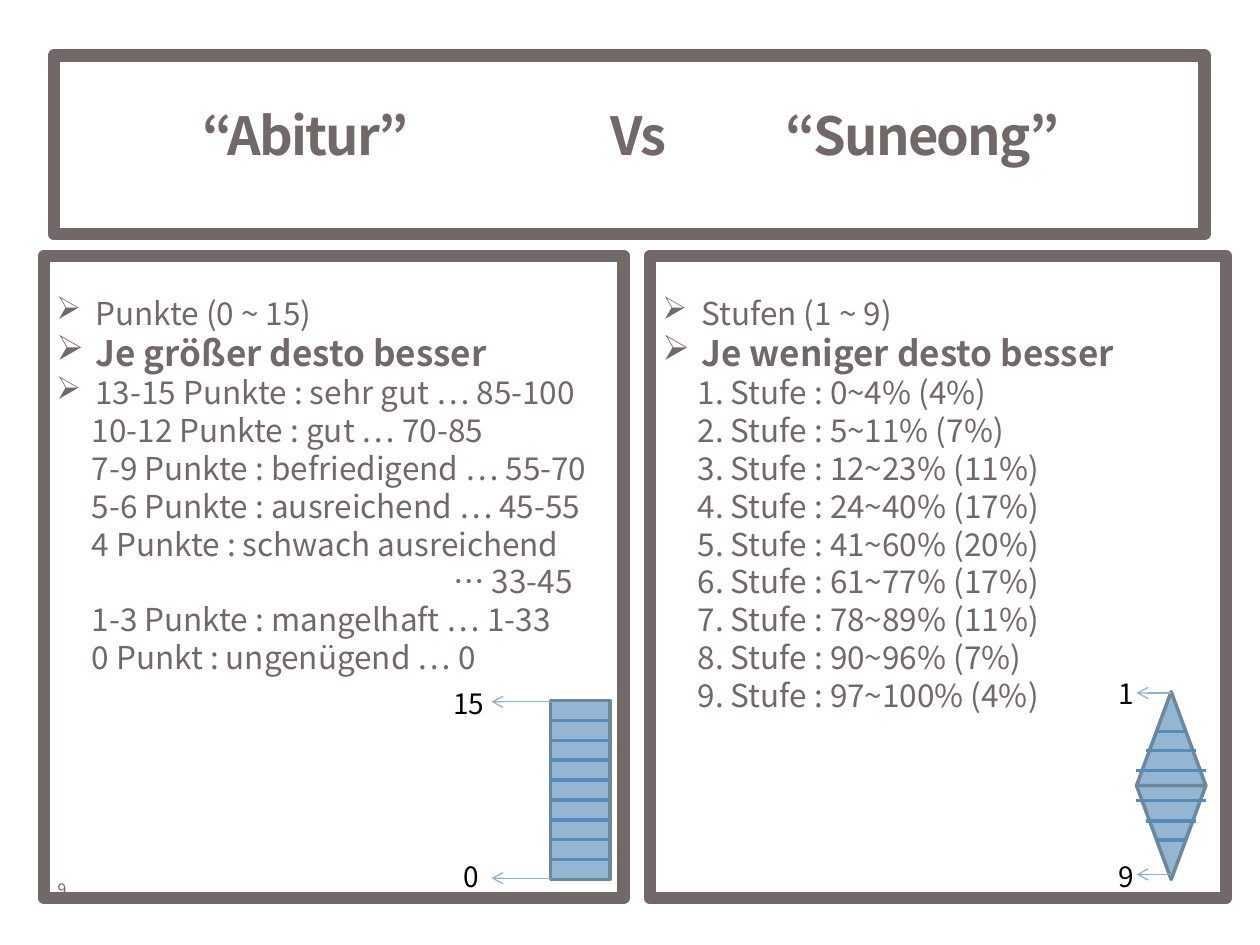
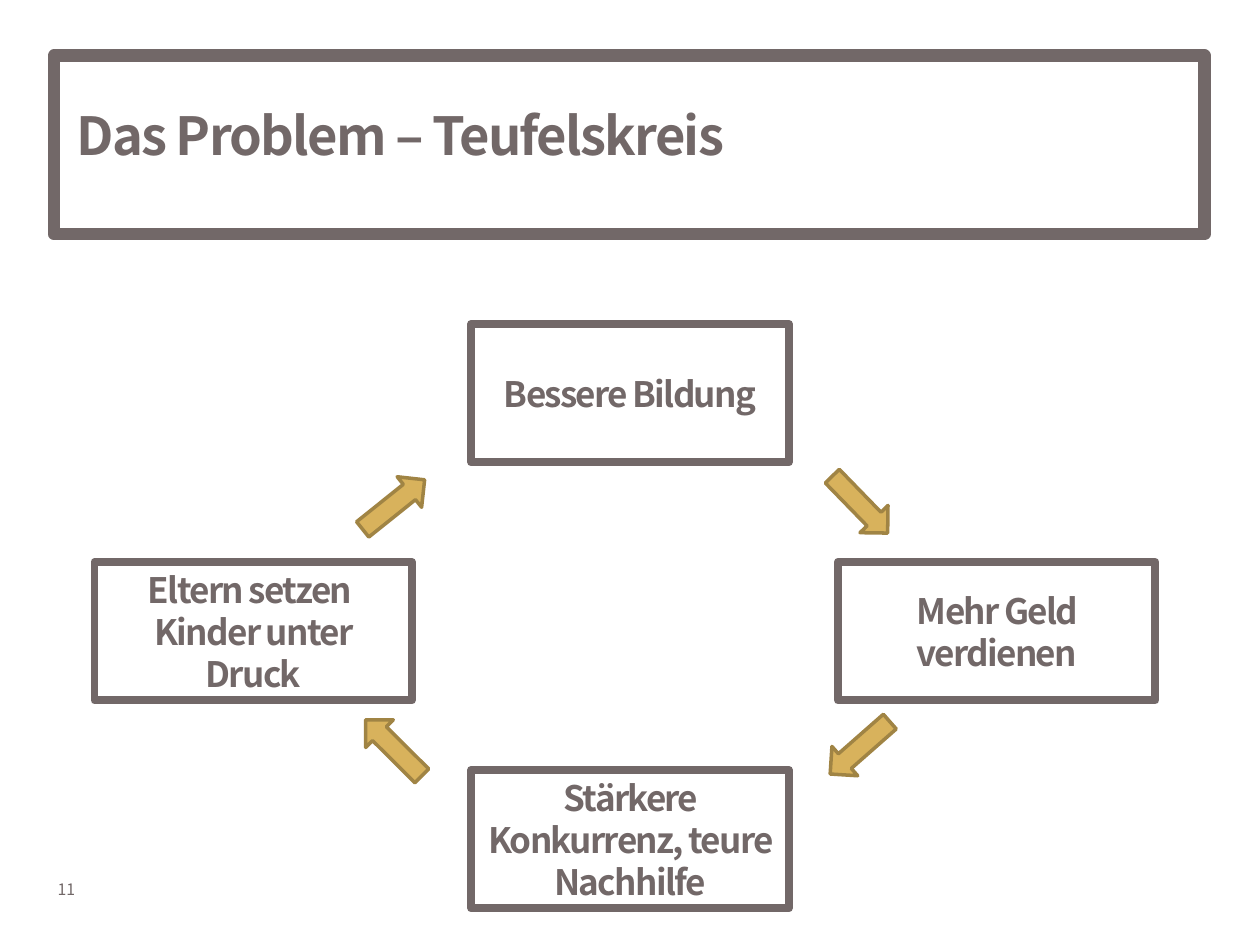
from lxml.etree import SubElement
from pptx import Presentation
from pptx.dml.color import RGBColor
from pptx.enum.shapes import MSO_CONNECTOR, MSO_SHAPE
from pptx.enum.text import MSO_ANCHOR, PP_ALIGN
from pptx.oxml.ns import qn
from pptx.util import Inches, Pt

BROWN = RGBColor(0x72, 0x68, 0x68)
BLACK = RGBColor(0, 0, 0)
BLUE = RGBColor(0x94, 0xB6, 0xD2)
BLUE_EDGE = RGBColor(0x6D, 0x87, 0x9B)
STRIPE = RGBColor(0x55, 0x8B, 0xB8)
POINTER = RGBColor(0x8F, 0xB2, 0xCF)
GOLD = RGBColor(0xD8, 0xB2, 0x5C)
GOLD_EDGE = RGBColor(0xA0, 0x84, 0x44)
FONT = "Noto Sans CJK KR"

deck = Presentation()
deck.slide_width, deck.slide_height = Inches(10), Inches(7.5)
# The slide is a grid of 100 columns and 75 rows.
COLUMN = deck.slide_width / 100
ROW = deck.slide_height / 75


def add_box(page, at, rows=(), preset=None, fill=None, line=None, weight=2,
            rotation=0, anchor=MSO_ANCHOR.MIDDLE, top_inset=0.5, **row_format):
    """Add a preset shape, or a text box without preset; each row is (text, format)."""
    left, top, width, height = at
    area = [int(n) for n in (left * COLUMN, top * ROW, width * COLUMN, height * ROW)]
    if preset is None:
        box = page.shapes.add_textbox(*area)
    else:
        box = page.shapes.add_shape(preset, *area)
        box.shadow.inherit = False
        box.rotation = rotation
        box.line.color.rgb = line
        box.line.width = Pt(weight)
        if fill is None:
            box.fill.background()
        else:
            box.fill.solid()
            box.fill.fore_color.rgb = fill
    frame = box.text_frame
    frame.word_wrap = True
    frame.vertical_anchor = anchor
    frame.margin_top = int(top_inset * ROW)
    for number, (text, own_format) in enumerate(rows):
        style = {"size": 18, "bold": False, "color": BROWN, "align": PP_ALIGN.LEFT,
                 "indent": 0, "tabs": (), "spacing": 0, **row_format, **own_format}
        para = frame.add_paragraph() if number else frame.paragraphs[0]
        properties = para._p.get_or_add_pPr()
        properties.set("marL", str(int(style["indent"] * COLUMN)))
        if "bullet" in style:
            properties.set("indent", str(-int(style["indent"] * COLUMN)))
            SubElement(properties, qn("a:buChar"), char=style["bullet"])
        if style["tabs"]:
            stops = SubElement(properties, qn("a:tabLst"))
            for stop in style["tabs"]:
                SubElement(stops, qn("a:tab"), pos=str(int(stop * COLUMN)), algn="l")
        para.alignment = style["align"]
        para.line_spacing = Pt(1.2 * style["size"])
        span = para.add_run()
        span.text = text
        for name, value in {"size": Pt(style["size"]), "bold": style["bold"],
                            "name": FONT}.items():
            setattr(span.font, name, value)
        span.font.color.rgb = style["color"]
        run_properties = span.font._element
        SubElement(run_properties, qn("a:ea"), typeface=FONT)
        if style["spacing"]:
            run_properties.set("spc", str(style["spacing"] * 100))


def add_line(page, start, end, y, color, weight, arrow=False):
    """Add a horizontal line, with an open arrowhead at its end if wanted."""
    rule = page.shapes.add_connector(
        MSO_CONNECTOR.STRAIGHT, int(start * COLUMN), int(y * ROW),
        int(end * COLUMN), int(y * ROW))
    rule.line.color.rgb = color
    rule.line.width = Pt(weight)
    if arrow:
        SubElement(rule.line._get_or_add_ln(), qn("a:tailEnd"), type="arrow")
    SubElement(rule._element.spPr, qn("a:effectLst"))


# Shared parts: page number, title and title frame
TITLES = [("9", "\t“Abitur”\tVs\t“Suneong”", 93.7, (10, 42.4, 56.3)),
          ("11", "Das Problem – Teufelskreis", 71.7, ())]
pages = []
for number, title, title_width, tabs in TITLES:
    page = deck.slides.add_slide(deck.slide_layouts[6])
    add_box(page, (3.6, 69.3, 5.2, 2.5), [(number, {})], size=9)
    add_box(page, (5.1, 4.4, title_width, 12.6), [(title, {})],
            size=30, bold=True, spacing=-1, tabs=tabs)
    add_box(page, (4.3, 4.4, 91.3, 14.2), preset=MSO_SHAPE.RECTANGLE,
            line=BROWN, weight=7)
    pages.append(page)
comparison, circle = pages

# Two grading systems side by side
BULLET = {"bullet": "➢", "indent": 3.1}
KEY = {**BULLET, "size": 20, "bold": True}
PLAIN = {"indent": 2.8}
shares = ["0~4% (4%)", "5~11% (7%)", "12~23% (11%)", "24~40% (17%)", "41~60% (20%)",
          "61~77% (17%)", "78~89% (11%)", "90~96% (7%)", "97~100% (4%)"]
suneong = [("Stufen (1 ~ 9)", BULLET), ("Je weniger desto besser", KEY)]
suneong += [(f"{level}. Stufe : {share}", PLAIN)
            for level, share in enumerate(shares, 1)]
abitur = [("Punkte (0 ~ 15)", BULLET), ("Je größer desto besser", KEY),
          ("13-15 Punkte : sehr gut … 85-100", BULLET),
          ("10-12 Punkte : gut … 70-85", PLAIN),
          ("7-9 Punkte : befriedigend … 55-70", PLAIN),
          ("5-6 Punkte : ausreichend … 45-55", PLAIN),
          ("4 Punkte : schwach ausreichend", PLAIN),
          ("… 33-45", {"indent": 31.5}),
          ("1-3 Punkte : mangelhaft … 1-33", PLAIN),
          ("0 Punkt : ungenügend … 0", PLAIN)]
for left, width, rows in [(51.6, 45.7, suneong), (3.5, 46, abitur)]:
    add_box(comparison, (left, 20.3, width, 51), rows, MSO_SHAPE.RECTANGLE,
            line=BROWN, weight=7, anchor=MSO_ANCHOR.TOP, top_inset=3)

# Bar of equal steps for the points
BAR_LEFT, BAR_TOP, BAR_WIDTH, BAR_HEIGHT, STEPS = 43.7, 55.6, 4.7, 14.2, 9
add_box(comparison, (BAR_LEFT, BAR_TOP, BAR_WIDTH, BAR_HEIGHT),
        preset=MSO_SHAPE.RECTANGLE, fill=BLUE, line=BLUE_EDGE)
for step in range(1, STEPS):
    add_line(comparison, BAR_LEFT, BAR_LEFT + BAR_WIDTH,
             BAR_TOP + step * BAR_HEIGHT / STEPS, STRIPE, 2)

# Diamond for the levels, widest in the middle
MIDDLE_X, MIDDLE_Y, HALF_WIDTH, HALF_HEIGHT = 92.95, 62.35, 2.75, 7.45
for top, rotation in [(MIDDLE_Y - HALF_HEIGHT, 0), (MIDDLE_Y, 180)]:
    add_box(comparison, (MIDDLE_X - HALF_WIDTH, top, 2 * HALF_WIDTH, HALF_HEIGHT),
            preset=MSO_SHAPE.ISOSCELES_TRIANGLE, fill=BLUE, line=BLUE_EDGE,
            rotation=rotation)
for side in (-1, 1):
    for distance, reach in [(1.2, HALF_WIDTH), (2.8, 2), (4.3, 1.2)]:
        add_line(comparison, MIDDLE_X - reach, MIDDLE_X + reach,
                 MIDDLE_Y + side * distance, STRIPE, 2)

# Ends of both scales
for text, left, top, start, end, y in [
        ("15", 35, 54, BAR_LEFT, 39, 55.7), ("0", 35.8, 67.7, BAR_LEFT, 39, 69.7),
        ("1", 87.8, 53.2, MIDDLE_X, 90.2, 55), ("9", 87.8, 67.7, MIDDLE_X, 90.2, 69.4)]:
    add_box(comparison, (left, top, 4.7, 3.7), [(text, {})], size=16, color=BLACK)
    add_line(comparison, start, end, y, POINTER, 0.75, arrow=True)

# Vicious circle
for left, top, lines in [(37.4, 25.7, ["Bessere Bildung"]),
                         (66.5, 44.6, ["Mehr Geld verdienen"]),
                         (37.4, 61.1, ["Stärkere Konkurrenz, teure Nachhilfe"]),
                         (7.5, 44.6, ["Eltern setzen ", "Kinder unter Druck"])]:
    add_box(circle, (left, top, 25.2, 11), [(text, {}) for text in lines],
            MSO_SHAPE.RECTANGLE, line=BROWN, weight=4.5, size=20, bold=True,
            spacing=-1, align=PP_ALIGN.CENTER)
for left, top, rotation in [(65.1, 38.5, 45.8), (65.1, 57.8, 138.7),
                            (28.1, 57.8, 224.9), (28.1, 38.5, 321.3)]:
    add_box(circle, (left, top, 6.3, 3.1), preset=MSO_SHAPE.RIGHT_ARROW,
            fill=GOLD, line=GOLD_EDGE, rotation=rotation)

deck.save("out.pptx")
